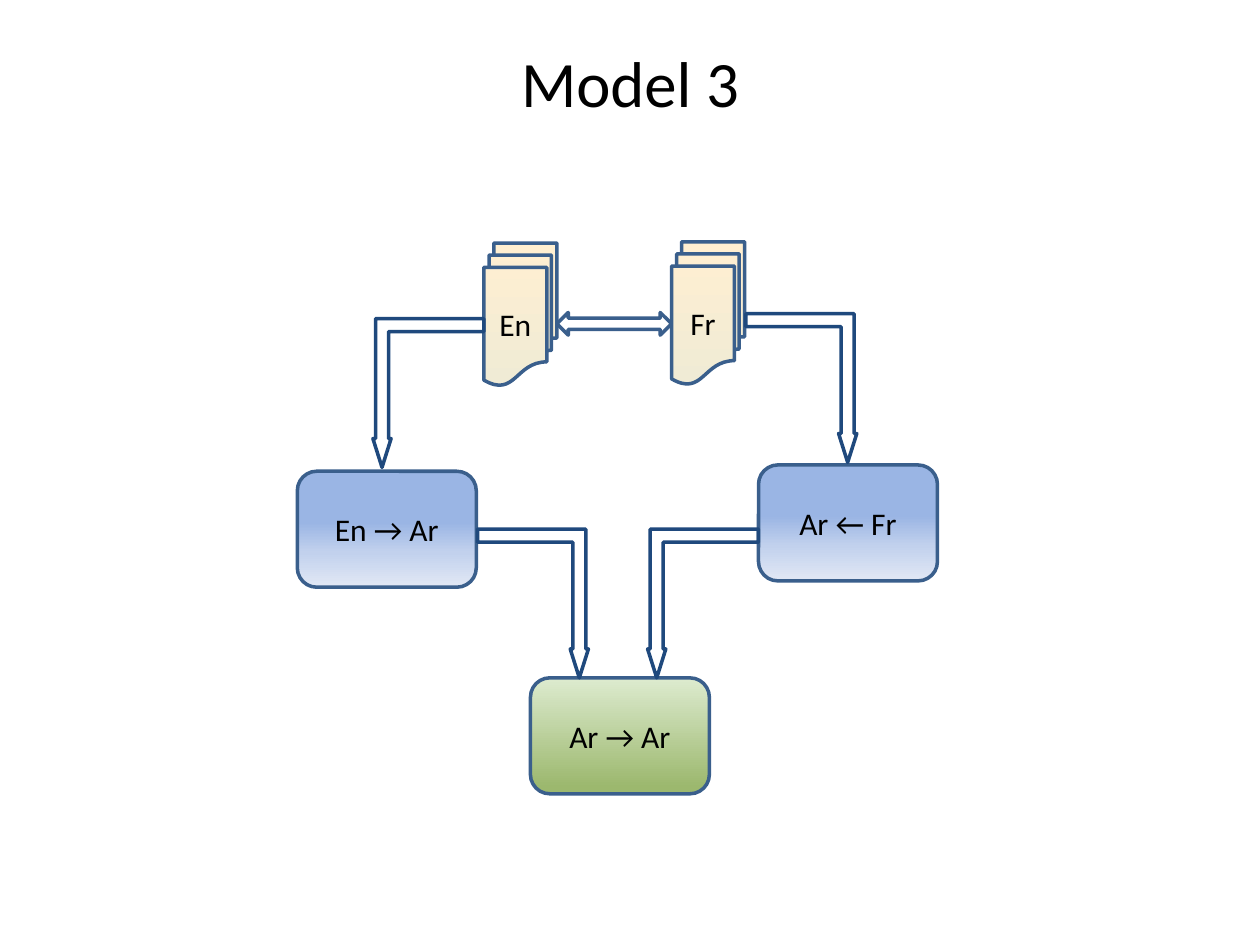
from collections import namedtuple

from lxml.etree import SubElement
from pptx import Presentation
from pptx.dml.color import RGBColor
from pptx.enum.shapes import MSO_SHAPE
from pptx.enum.text import MSO_ANCHOR, PP_ALIGN
from pptx.oxml.ns import qn
from pptx.util import Inches, Pt

BLACK = RGBColor(0x00, 0x00, 0x00)
OUTLINE = RGBColor(0x3A, 0x5F, 0x8C)
FLOW_OUTLINE = RGBColor(0x1F, 0x49, 0x7D)
BLUE_STOPS = [
    (44, RGBColor(0x9A, 0xB5, 0xE4)),
    (70, RGBColor(0xC2, 0xD1, 0xED)),
    (100, RGBColor(0xE1, 0xE8, 0xF5)),
]
GREEN_STOPS = [(0, RGBColor(0xDD, 0xEB, 0xCF)), (94, RGBColor(0x9C, 0xB8, 0x6E))]
PAPER_STOPS = [(0, RGBColor(0xFF, 0xEF, 0xD1)), (100, RGBColor(0xF0, 0xEB, 0xD5))]

SLIDE_WIDTH, SLIDE_HEIGHT = Inches(10), Inches(7.5)
COLUMN, ROW = SLIDE_WIDTH / 100, SLIDE_HEIGHT / 75

Box = namedtuple("Box", "column row columns rows")
TITLE = Box(30.8, 0.2, 38.4, 12.5)
DIAGRAM = Box(23.6, 19.2, 50.8, 43.8)

MODEL_SIZE = (14.2, 9.2)
CORPUS_SIZE = (5.8, 11.3)
FLOW_SIZE = (8.8, 11.8)
FLOW_ADJUSTMENTS = (0.117, 0.082, 0.26)


def within(region, column, row, size):
    return Box(region.column + column, region.row + row, *size)


def to_lengths(box):
    return [
        round(box.column * COLUMN),
        round(box.row * ROW),
        round(box.columns * COLUMN),
        round(box.rows * ROW),
    ]


def write_label(frame, label, size):
    frame_format = {"vertical_anchor": MSO_ANCHOR.MIDDLE, "word_wrap": False}
    for name, value in frame_format.items():
        setattr(frame, name, value)
    paragraph = frame.paragraphs[0]
    paragraph.alignment = PP_ALIGN.CENTER
    run = paragraph.add_run()
    run.text = label
    for name, value in {"name": "Calibri", "size": Pt(size)}.items():
        setattr(run.font, name, value)
    run.font.color.rgb = BLACK


def fill_downward(shape, stops):
    shape.fill.gradient()
    shape.fill.gradient_angle = 270
    stop_list = shape.element.spPr.find(qn("a:gradFill")).find(qn("a:gsLst"))
    for default_stop in list(stop_list):
        stop_list.remove(default_stop)
    for percent, color in stops:
        stop = SubElement(stop_list, qn("a:gs"), pos=str(percent * 1000))
        SubElement(stop, qn("a:srgbClr"), val=str(color))


def add_outlined(slide, preset, box, color=OUTLINE):
    shape = slide.shapes.add_shape(preset, *to_lengths(box))
    shape.shadow.inherit = False
    shape.fill.background()
    shape.line.color.rgb = color
    shape.line.width = Pt(2)
    return shape


def add_node(slide, preset, box, label, stops):
    node = add_outlined(slide, preset, box)
    fill_downward(node, stops)
    write_label(node.text_frame, label, 18)


def add_flow(slide, box, leftward):
    flow = add_outlined(slide, MSO_SHAPE.BENT_UP_ARROW, box, FLOW_OUTLINE)
    for index, share in enumerate(FLOW_ADJUSTMENTS):
        flow.adjustments[index] = share
    transform = flow.element.spPr.find(qn("a:xfrm"))
    transform.set("flipV", "1")
    if leftward:
        transform.set("flipH", "1")


def add_title(slide, region):
    title = slide.shapes.add_textbox(*to_lengths(region))
    write_label(title.text_frame, "Model 3", 37)


def add_corpora(slide, region):
    for label, column, row in [("Fr", 29.7, 0), ("En", 14.8, 0.1)]:
        add_node(slide, MSO_SHAPE.FLOWCHART_MULTIDOCUMENT,
                 within(region, column, row, CORPUS_SIZE), label, PAPER_STOPS)
    add_outlined(slide, MSO_SHAPE.LEFT_RIGHT_ARROW,
                 within(region, 20.6, 5.6, (9.1, 1.8)))


def add_models(slide, region):
    models = [
        ("En → Ar", 0, 18.2, BLUE_STOPS),
        ("Ar ← Fr", 36.6, 17.7, BLUE_STOPS),
        ("Ar → Ar", 18.5, 34.6, GREEN_STOPS),
    ]
    for label, column, row, stops in models:
        add_node(slide, MSO_SHAPE.ROUNDED_RECTANGLE,
                 within(region, column, row, MODEL_SIZE), label, stops)


def add_flows(slide, region):
    flows = [
        (6, 6.1, True),
        (35.6, 5.7, False),
        (14.3, 22.8, False),
        (27.8, 22.8, True),
    ]
    for column, row, leftward in flows:
        add_flow(slide, within(region, column, row, FLOW_SIZE), leftward)


def main():
    presentation = Presentation()
    presentation.slide_width = SLIDE_WIDTH
    presentation.slide_height = SLIDE_HEIGHT
    slide = presentation.slides.add_slide(presentation.slide_layouts[6])
    add_title(slide, TITLE)
    for add_part in (add_models, add_corpora, add_flows):
        add_part(slide, DIAGRAM)
    presentation.save("out.pptx")


if __name__ == "__main__":
    main()
